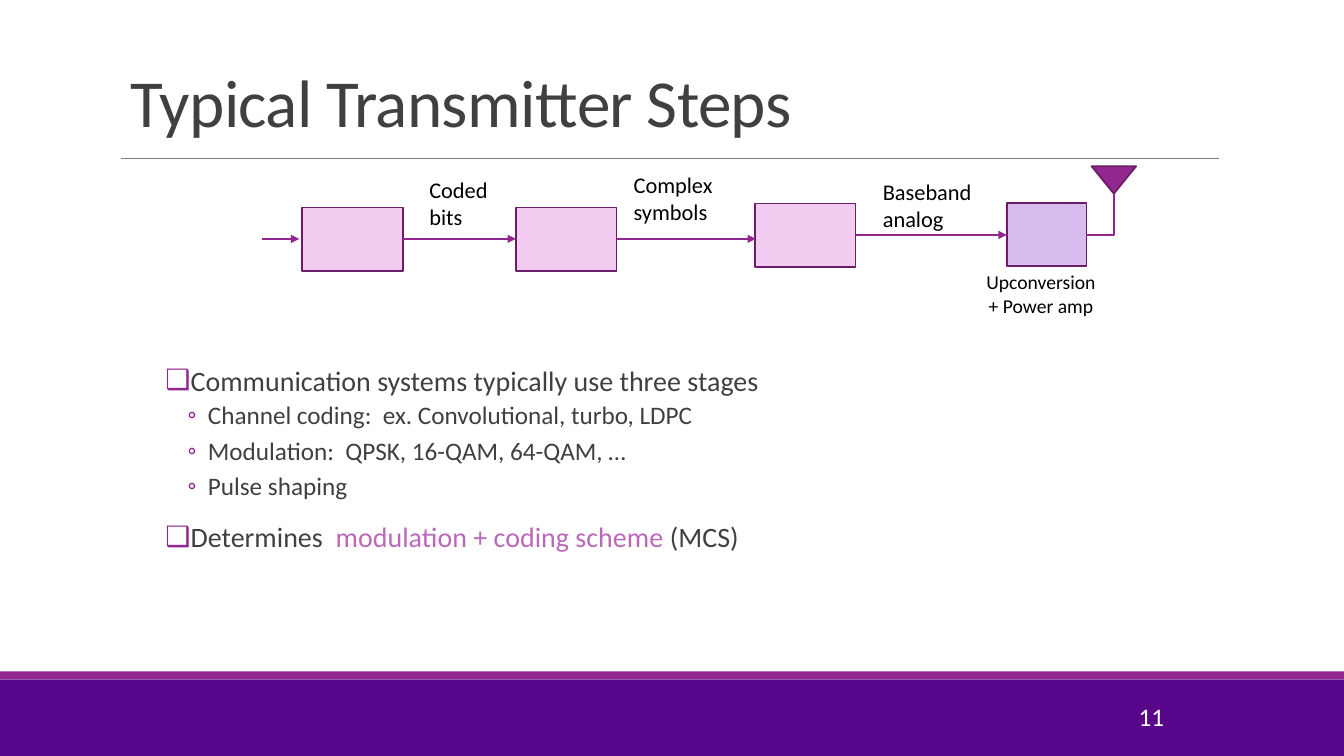
from dataclasses import dataclass
from typing import NamedTuple

import lxml.etree
import pptx
import pptx.dml.color
import pptx.enum.shapes
import pptx.enum.text
import pptx.oxml.ns
import pptx.util

Cm = pptx.util.Cm
Pt = pptx.util.Pt
Shape = pptx.enum.shapes.MSO_SHAPE
Link = pptx.enum.shapes.MSO_CONNECTOR
Align = pptx.enum.text.PP_ALIGN
Anchor = pptx.enum.text.MSO_ANCHOR
qn = pptx.oxml.ns.qn

FONT = "Calibri"
PURPLE = "92278F"
EDGE = "6C1D6A"
PINK = "F1CCF0"
GREY = "404040"


class Place(NamedTuple):
    x: float
    y: float
    w: float
    h: float


@dataclass
class Block:
    at: Place
    fill: str
    edge: str = ""
    kind: int = Shape.RECTANGLE
    turn: int = 0


@dataclass
class Wire:
    start: tuple[float, float]
    end: tuple[float, float]
    ink: str = PURPLE
    width: float = 1
    head: bool = True
    bent: bool = False


@dataclass
class Label:
    at: Place
    lines: list[str]
    size: int = 16
    align: int = Align.LEFT


@dataclass
class Level:
    mark: str
    left: float
    hang: float
    size: int
    before: int
    after: int


@dataclass
class Item:
    level: Level
    runs: list[tuple[str, str]]


def paint(target, ink: str) -> None:
    target.rgb = pptx.dml.color.RGBColor.from_string(ink)


def fill(target, ink: str) -> None:
    target.solid()
    paint(target.fore_color, ink)


def draw_block(slide, block: Block) -> None:
    shape = slide.shapes.add_shape(block.kind, *map(Cm, block.at))
    shape.shadow.inherit = False
    shape.rotation = block.turn
    fill(shape.fill, block.fill)
    if block.edge:
        fill(shape.line.fill, block.edge)
        shape.line.width = Pt(1.25)
    else:
        shape.line.fill.background()


def draw_wire(slide, wire: Wire) -> None:
    kind = Link.ELBOW if wire.bent else Link.STRAIGHT
    line = slide.shapes.add_connector(kind, *map(Cm, wire.start + wire.end))
    fill(line.line.fill, wire.ink)
    line.line.width = Pt(wire.width)
    props = line._element.spPr
    if wire.bent:
        props.find(qn("a:prstGeom")).set("prst", "bentConnector2")
    if wire.head:
        lxml.etree.SubElement(props.find(qn("a:ln")), qn("a:tailEnd"), type="triangle")
    lxml.etree.SubElement(props, qn("a:effectLst"))


def add_mark(para, level: Level) -> None:
    props = para._p.get_or_add_pPr()
    props.set("marL", str(Cm(level.left)))
    props.set("indent", str(-Cm(level.hang)))
    ink = lxml.etree.SubElement(props, qn("a:buClr"))
    lxml.etree.SubElement(ink, qn("a:srgbClr"), val=PURPLE)
    lxml.etree.SubElement(props, qn("a:buFont"), typeface=FONT)
    lxml.etree.SubElement(props, qn("a:buChar"), char=level.mark)


def add_text(slide, at: Place, lines: list, *, size: int = 16, ink: str = "000000",
             align: int = Align.LEFT, anchor: int = Anchor.TOP,
             inset: float = 0.25, pitch: float = 1, track: int = 0) -> None:
    frame = slide.shapes.add_textbox(*map(Cm, at)).text_frame
    frame.word_wrap = True
    frame.vertical_anchor = anchor
    frame.margin_left = frame.margin_right = Cm(inset)
    for n, line in enumerate(lines):
        para = frame.paragraphs[0] if n == 0 else frame.add_paragraph()
        runs, points = [(line, ink)], size
        if isinstance(line, Item):
            level = line.level
            runs, points = line.runs, level.size
            add_mark(para, level)
            para.space_before = Pt(level.before if n else 0)
            para.space_after = Pt(level.after)
        para.alignment = align
        para.line_spacing = pitch
        for words, shade in runs:
            run = para.add_run()
            run.text = words
            run.font.name = FONT
            run.font.size = Pt(points)
            paint(run.font.color, shade)
            if track:
                run._r.get_or_add_rPr().set("spc", str(track))


TOP = Level("❑", 0.25, 0.25, 20, 12, 2)
SUB = Level("◦", 1.07, 0.51, 18, 2, 4)

BLOCKS = [
    Block(Place(0, 17.12, 33.87, 1.93), "57068C"),
    Block(Place(0, 16.92, 33.87, 0.19), PURPLE),
    Block(Place(7.62, 5.23, 2.54, 1.6), PINK, EDGE),
    Block(Place(13, 5.23, 2.54, 1.6), PINK, EDGE),
    Block(Place(19.02, 5.13, 2.54, 1.6), PINK, EDGE),
    Block(Place(25.37, 5.11, 2.01, 1.6), "D7BCED", EDGE),
    Block(Place(27.51, 4.19, 1.12, 0.69), PURPLE, EDGE, Shape.ISOSCELES_TRIANGLE, 180),
]

WIRES = [
    Wire((3.05, 3.99), (30.73, 3.99), "808080", 0.5, head=False),
    Wire((6.6, 6.02), (7.54, 6.02)),
    Wire((10.16, 6.02), (13, 6.02)),
    Wire((15.54, 6.02), (19.05, 6.02)),
    Wire((21.56, 5.92), (25.37, 5.92)),
    Wire((27.36, 5.92), (28.07, 4.88), head=False, bent=True),
]

LABELS = [
    Label(Place(10.57, 4.32, 2.36, 2.31), ["Coded", "bits"]),
    Label(Place(15.72, 4.19, 3.71, 1.63), ["Complex symbols"]),
    Label(Place(22, 4.37, 3.71, 1.63), ["Baseband", "analog"]),
    Label(Place(24.33, 6.68, 3.81, 1.45), ["Upconversion", "+ Power amp"], 14, Align.CENTER),
]

ITEMS = [
    Item(TOP, [("Communication systems typically use three stages", GREY)]),
    Item(SUB, [("Channel coding:  ex. Convolutional, turbo, LDPC", GREY)]),
    Item(SUB, [("Modulation:  QPSK, 16-QAM, 64-QAM, …", GREY)]),
    Item(SUB, [("Pulse shaping", GREY)]),
    Item(TOP, [("Determines  ", GREY), ("modulation + coding scheme ", "BA69B8"), ("(MCS)", GREY)]),
]


def main() -> None:
    deck = pptx.Presentation()
    deck.slide_width, deck.slide_height = Cm(33.87), Cm(19.05)
    slide = deck.slides.add_slide(deck.slide_layouts[6])
    for block in BLOCKS:
        draw_block(slide, block)
    for wire in WIRES:
        draw_wire(slide, wire)
    add_text(slide, Place(3.05, 0.79, 27.94, 2.9), ["Typical Transmitter Steps"],
             size=48, ink=GREY, anchor=Anchor.BOTTOM, pitch=0.85, track=-50)
    for label in LABELS:
        add_text(slide, label.at, label.lines, size=label.size, align=label.align)
    add_text(slide, Place(4.17, 9.12, 24.59, 6.73), ITEMS, inset=0, pitch=0.9)
    add_text(slide, Place(25.96, 17.55, 3.63, 1.02), ["11"],
             size=18, ink="FFFFFF", align=Align.RIGHT, anchor=Anchor.MIDDLE)
    deck.save("out.pptx")


if __name__ == "__main__":
    main()
